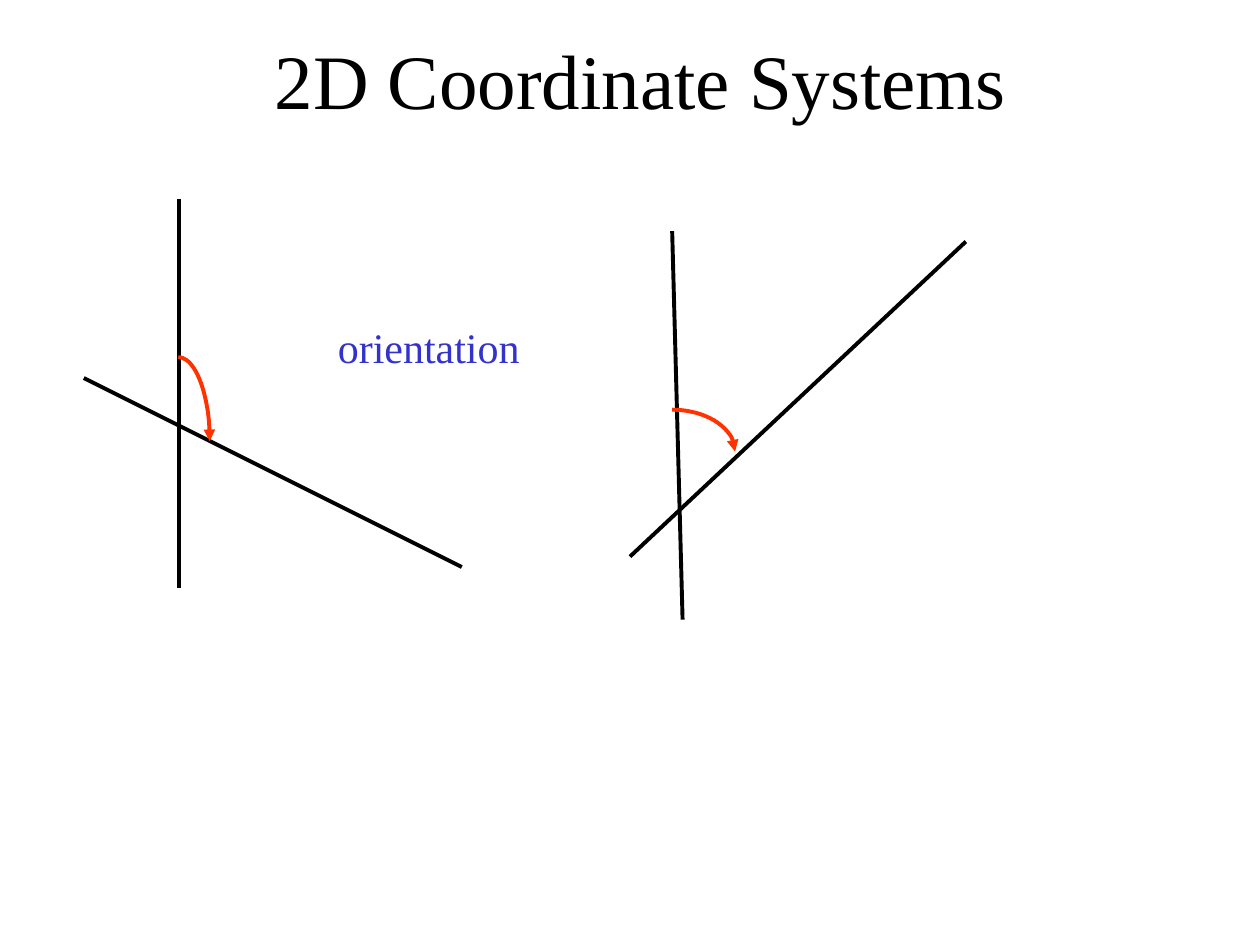
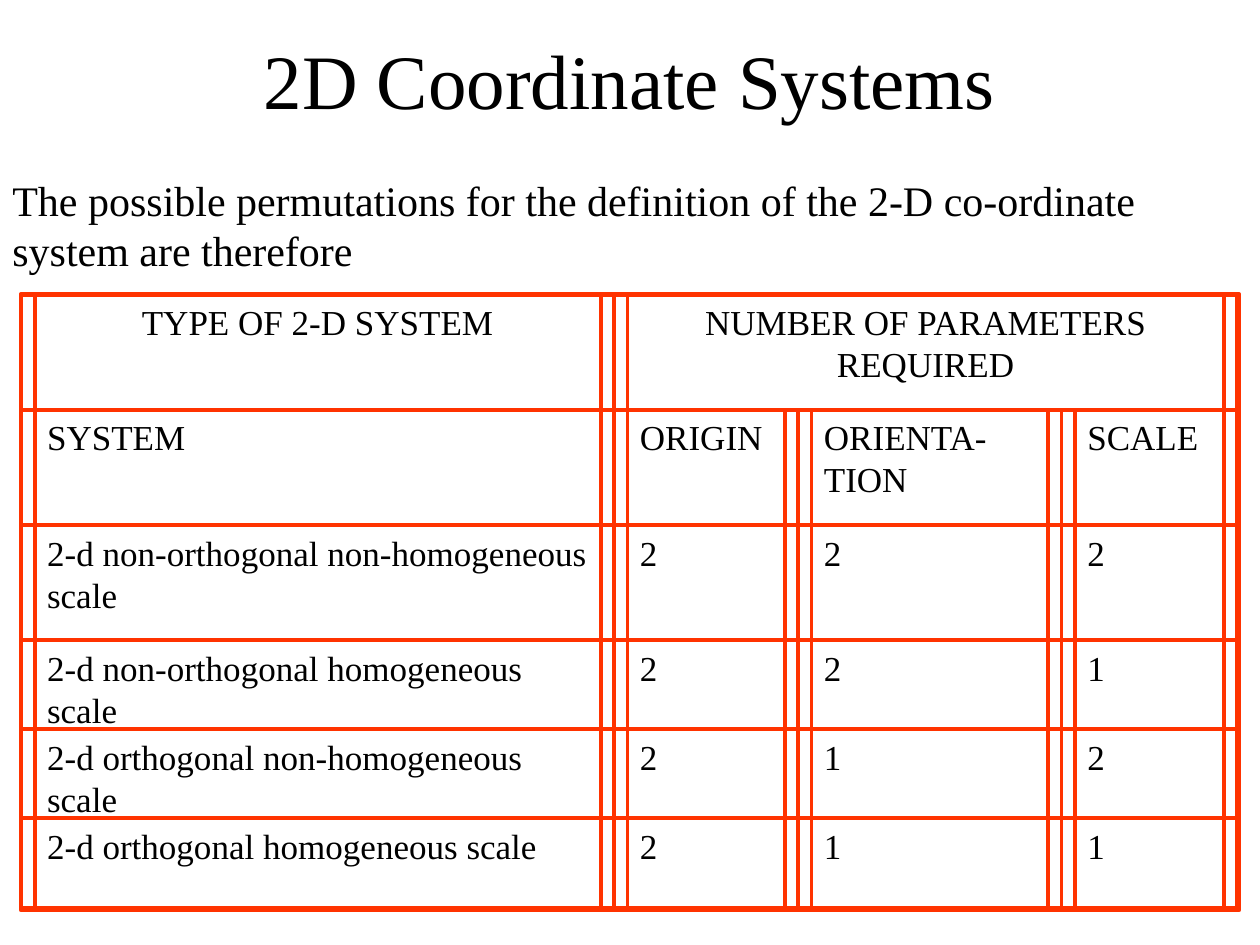
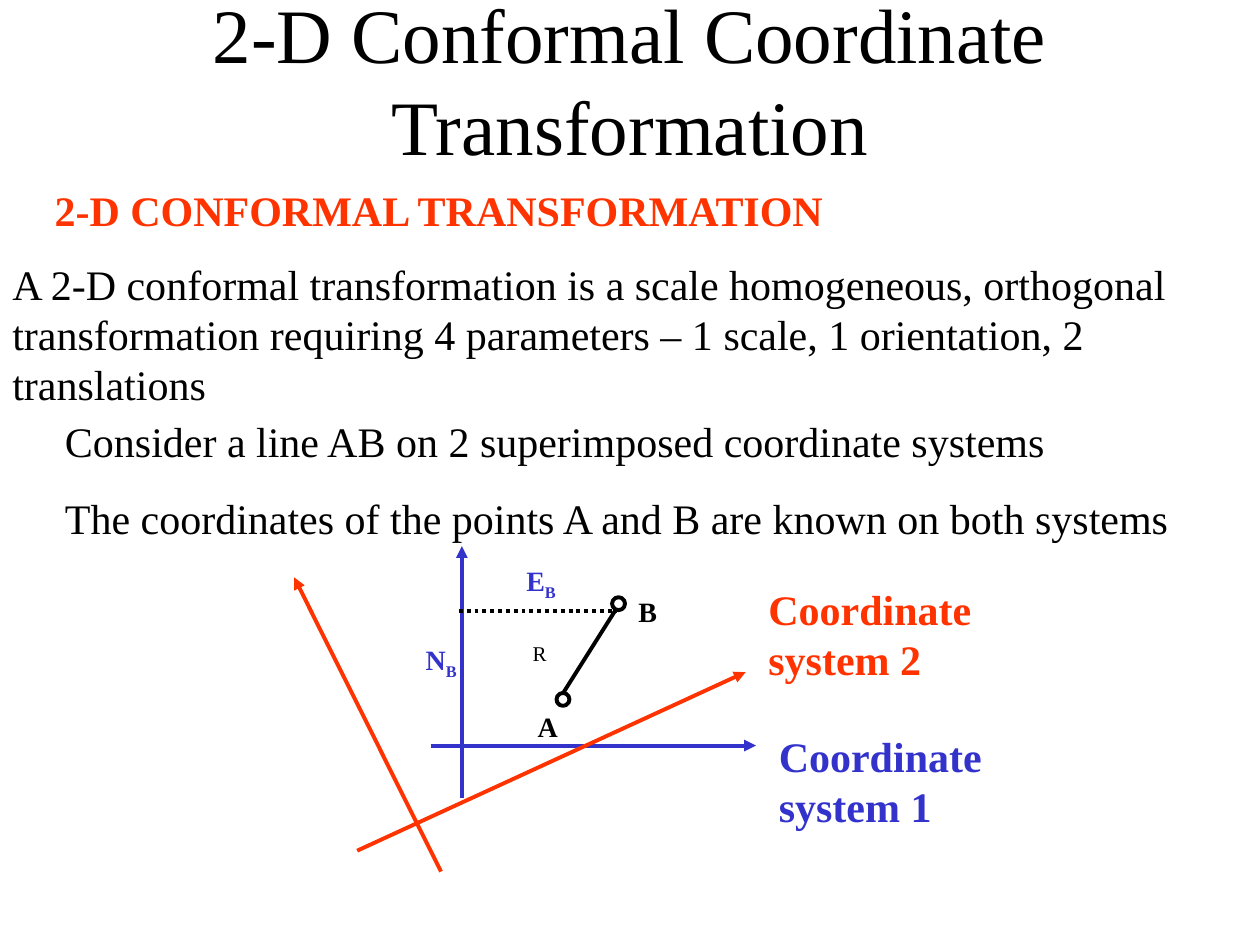
from itertools import accumulate

from lxml.etree import SubElement
from pptx import Presentation
from pptx.dml.color import RGBColor
from pptx.enum.dml import MSO_LINE
from pptx.enum.shapes import MSO_CONNECTOR, MSO_SHAPE
from pptx.enum.text import MSO_ANCHOR, PP_ALIGN
from pptx.oxml.ns import qn
from pptx.util import Cm, Pt

COLORS = {"black": "000000", "white": "FFFFFF", "red": "FF3300", "blue": "3333CC"}
FONT = "Times New Roman"
LINE_WIDTH = Pt(2.24)
PAGE_WIDTH, PAGE_HEIGHT = 25.4, 19.05
TITLE_WIDTH, TITLE_HEIGHT = 21.59, 3.18


def color(name):
    return RGBColor.from_string(COLORS[name])


class SlideBuilder:
    def __init__(self):
        self.deck = Presentation()
        self.deck.slide_width = Cm(PAGE_WIDTH)
        self.deck.slide_height = Cm(PAGE_HEIGHT)
        self.page = None

    def new_page(self, title, left, width=TITLE_WIDTH):
        self.page = self.deck.slides.add_slide(self.deck.slide_layouts[6])
        box = self.text(left, 0, width, TITLE_HEIGHT, [title], size=44, align=PP_ALIGN.CENTER)
        box.text_frame.vertical_anchor = MSO_ANCHOR.MIDDLE

    def fill_text(self, box, lines, size, ink, bold, align, before):
        frame = box.text_frame
        frame.word_wrap = True
        frame.vertical_anchor = MSO_ANCHOR.TOP
        for index, line in enumerate(lines):
            para = frame.add_paragraph() if index else frame.paragraphs[0]
            para.alignment = align
            para.space_before = Pt(before)
            para.font.name = FONT
            para.font.size = Pt(size)
            para.font.bold = bold
            para.font.color.rgb = color(ink)
            para.add_run().text = line

    def text(self, left, top, width, height, lines, size=24, ink="black",
             bold=False, align=PP_ALIGN.LEFT, before=0):
        box = self.page.shapes.add_textbox(Cm(left), Cm(top), Cm(width), Cm(height))
        self.fill_text(box, lines, size, ink, bold, align, before)
        return box

    def shape(self, kind, left, top, width, height, fill=None, line=None):
        shape = self.page.shapes.add_shape(kind, Cm(left), Cm(top), Cm(width), Cm(height))
        shape.shadow.inherit = False
        if fill:
            shape.fill.solid()
            shape.fill.fore_color.rgb = color(fill)
        else:
            shape.fill.background()
        if line:
            self.stroke(shape, line)
        else:
            shape.line.fill.background()
        return shape

    def stroke(self, item, ink, arrow=False, dash=None):
        item.line.color.rgb = color(ink)
        item.line.width = LINE_WIDTH
        if dash:
            item.line.dash_style = dash
        if arrow:
            outline = item.line._get_or_add_ln()
            SubElement(outline, qn("a:tailEnd"), type="triangle")

    def line(self, start, end, ink="black", arrow=False, dash=None):
        points = [Cm(value) for value in (*start, *end)]
        connector = self.page.shapes.add_connector(MSO_CONNECTOR.STRAIGHT, *points)
        self.stroke(connector, ink, arrow, dash)
        SubElement(connector._element.spPr, qn("a:effectLst"))

    def arc(self, left, top, width, height):
        arc = self.shape(MSO_SHAPE.ARC, left, top, width, height)
        self.stroke(arc, "red", arrow=True)

    def cell(self, left, top, width, height, text, align=PP_ALIGN.LEFT, gutter=0.27):
        inner = self.shape(MSO_SHAPE.RECTANGLE, left + gutter, top,
                           width - 2 * gutter, height, line="red")
        self.fill_text(inner, [text], 20, "black", False, align, 0)
        self.shape(MSO_SHAPE.RECTANGLE, left, top, width, height, line="red")

    def label(self, left, top, text, subscript="", size=16, ink="black", bold=True, height=0.76):
        box = self.shape(MSO_SHAPE.RECTANGLE, left, top, 1.27, height, fill="white")
        self.fill_text(box, [text], size, ink, bold, PP_ALIGN.LEFT, 0)
        if subscript:
            span = box.text_frame.paragraphs[0].add_run()
            span.text = subscript
            span._r.get_or_add_rPr().set("baseline", "-25000")

    def point(self, left, top):
        self.shape(MSO_SHAPE.OVAL, left, top, 0.26, 0.26, fill="white", line="black")


def orientation_page(builder):
    builder.new_page("2D Coordinate Systems", 2.12)
    builder.line((3.6, 4.02), (3.6, 11.85))
    builder.line((1.69, 7.62), (9.31, 11.43))
    builder.arc(2.96, 7.2, 1.27, 3.39)
    builder.line((13.55, 4.66), (13.76, 12.49))
    builder.line((12.7, 11.22), (19.47, 4.87))
    builder.arc(12.28, 8.26, 2.54, 1.69)
    builder.text(6.56, 6.35, 6.14, 1.27, ["orientation"], ink="blue", before=15)


def parameters_page(builder):
    builder.new_page("2D Coordinate Systems", 1.9)
    builder.text(0, 3.39, PAGE_WIDTH, 3.3, [
        "The possible permutations for the definition of the 2-D co-ordinate "
        "system are therefore"])
    widths = [11.95, 3.71, 5.31, 3.54]
    heights = [2.32] * 3 + [1.8] * 3
    lefts = list(accumulate(widths, initial=0.43))
    tops = list(accumulate(heights, initial=5.94))
    rows = [
        ("SYSTEM", "ORIGIN", "ORIENTA-TION", "SCALE"),
        ("2-d non-orthogonal non-homogeneous scale", "2", "2", "2"),
        ("2-d non-orthogonal homogeneous scale", "2", "2", "1"),
        ("2-d orthogonal non-homogeneous scale", "2", "1", "2"),
        ("2-d orthogonal homogeneous scale", "2", "1", "1"),
    ]
    builder.cell(lefts[0], tops[0], widths[0], heights[0],
                 "TYPE OF 2-D SYSTEM", PP_ALIGN.CENTER)
    builder.cell(lefts[1], tops[0], sum(widths[1:]), heights[0],
                 "NUMBER OF PARAMETERS REQUIRED", PP_ALIGN.CENTER)
    for top, height, row in zip(tops[1:], heights[1:], rows):
        for left, width, text in zip(lefts, widths, row):
            builder.cell(left, top, width, height, text)
    builder.shape(MSO_SHAPE.RECTANGLE, 0.42, 5.93, 24.56, 12.42, line="red")


def conformal_page(builder):
    builder.new_page("2-D Conformal Coordinate Transformation", 0, PAGE_WIDTH)
    builder.label(8.33, 12.83, "N", "B", ink="blue", height=1.14)
    builder.label(10.36, 11.23, "E", "B", ink="blue")
    builder.label(10.49, 12.78, "R", size=12, bold=False)
    builder.line((9.31, 16.09), (9.31, 11.01), "blue", arrow=True)
    builder.line((8.68, 15.03), (15.24, 15.03), "blue", arrow=True)
    builder.line((11.22, 14.18), (12.42, 12.28))
    builder.label(12.62, 11.86, "B")
    builder.point(12.34, 12.04)
    builder.line((9.25, 12.32), (12.42, 12.32), dash=MSO_LINE.ROUND_DOT)
    builder.line((8.89, 17.57), (5.93, 11.64), "red", arrow=True)
    builder.line((7.2, 17.15), (15.03, 13.55), "red", arrow=True)
    builder.text(0.85, 3.6, 16.3, 1.27, ["2-D CONFORMAL TRANSFORMATION"],
                 ink="red", bold=True, before=15)
    builder.text(0, 5.08, PAGE_WIDTH, 3.3, [
        "A 2-D conformal transformation is a scale homogeneous, orthogonal "
        "transformation requiring 4 parameters – 1 scale, 1 orientation, 2 translations"],
        before=15)
    builder.text(1.06, 8.26, 22.86, 2.82, [
        "Consider a line AB on 2 superimposed coordinate systems",
        "The coordinates of the points A and B are known on both systems"], before=15)
    builder.label(10.59, 14.17, "A")
    builder.point(11.22, 13.97)
    builder.text(15.45, 14.6, 4.87, 2.29, ["Coordinate system 1"],
                 ink="blue", bold=True, before=15)
    builder.text(15.24, 11.64, 4.87, 2.29, ["Coordinate system 2"],
                 ink="red", bold=True, before=15)


builder = SlideBuilder()
orientation_page(builder)
parameters_page(builder)
conformal_page(builder)
builder.deck.save("out.pptx")
